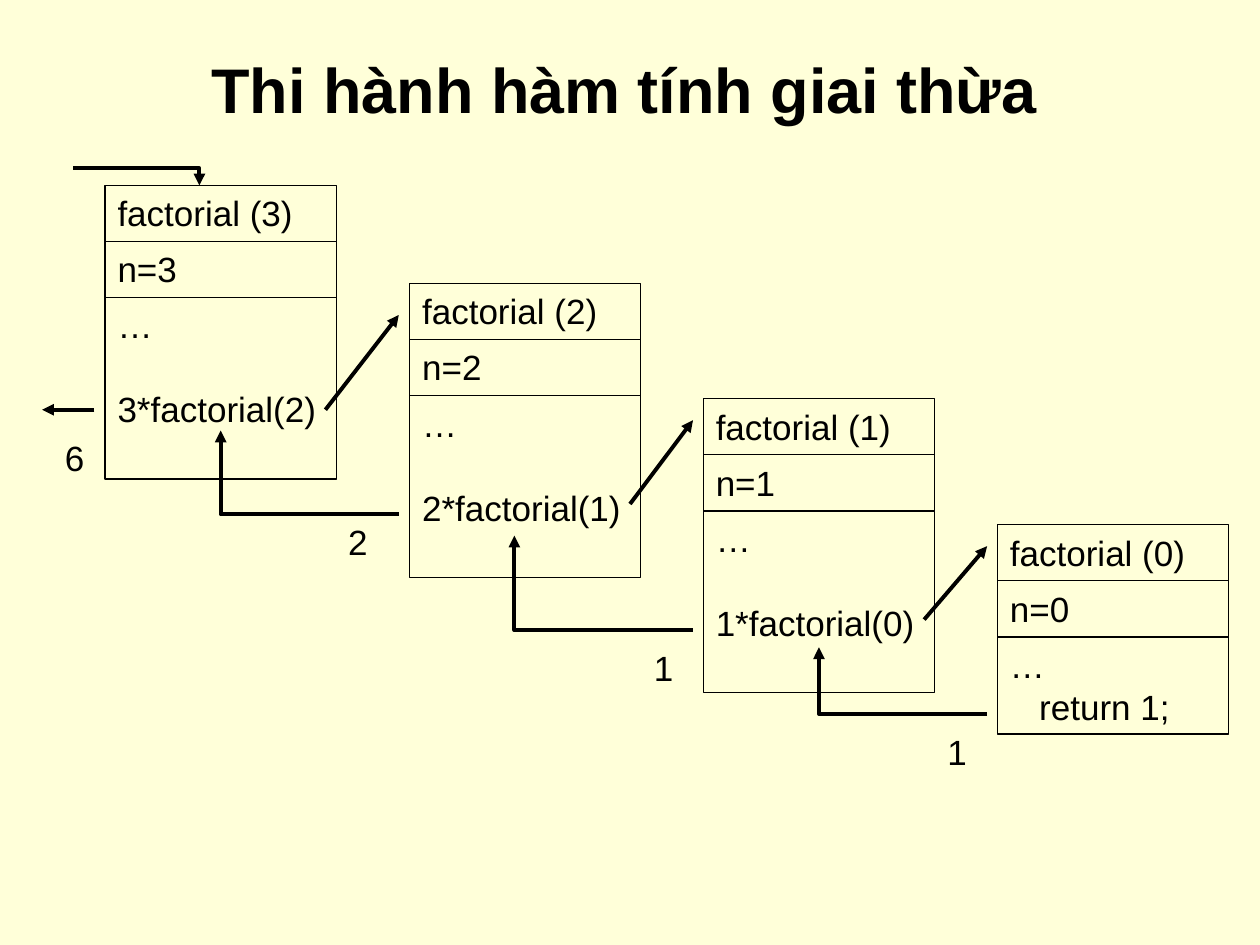
"""Build a slide tracing the recursive calls of the factorial function."""
from dataclasses import dataclass

from lxml.etree import SubElement
from pptx import Presentation
from pptx.dml.color import RGBColor
from pptx.enum.shapes import MSO_CONNECTOR as CONN, MSO_SHAPE as SHAPE
from pptx.enum.text import MSO_ANCHOR as ANCHOR, PP_ALIGN as ALIGN
from pptx.oxml.ns import qn
from pptx.util import Cm, Pt


@dataclass(frozen=True)
class Theme:
    font: str = "Arial"
    ink: RGBColor = RGBColor(0x00, 0x00, 0x00)
    paper: RGBColor = RGBColor(0xFF, 0xFF, 0xD9)
    title: Pt = Pt(36)
    body: Pt = Pt(20)
    border: Pt = Pt(0.75)
    arrow: Pt = Pt(2.25)


THEME = Theme()
FRAME_W, ROW_H = 4.66, 1.13
CALL_H, RETURN_H = 3.66, 1.96

FRAMES = [(3, 2.12, 3.74), (2, 8.26, 5.72), (1, 14.18, 8.04), (0, 20.11, 10.58)]

CALLS = [
    [(1.48, 3.39), (4.02, 3.39), (4.02, 3.74)],
    [(6.56, 8.26), (8.04, 6.35)],
    [(12.7, 10.16), (13.97, 8.47)],
    [(18.63, 12.49), (19.9, 11.01)],
]
RETURNS = [
    [(19.9, 14.39), (16.51, 14.39), (16.51, 13.05)],
    [(13.97, 12.7), (10.37, 12.7), (10.37, 10.8)],
    [(8.04, 10.37), (4.45, 10.37), (4.45, 8.68)],
    [(1.9, 8.26), (0.85, 8.26)],
]
RESULTS = [("1", 18.85, 14.61), ("1", 12.93, 12.91),
           ("2", 6.77, 10.37), ("6", 1.06, 8.68)]


def style(p, size, align=ALIGN.LEFT, bold=False):
    p.alignment = align
    f = p.font
    f.name, f.size, f.bold = THEME.font, size, bold
    f.color.rgb = THEME.ink


def write(tf, lines):
    tf.text = "\n".join(lines)
    for p in tf.paragraphs:
        style(p, THEME.body)


def add_title(s, text):
    sp = s.shapes.title
    sp.left, sp.top, sp.width, sp.height = Cm(2.33), Cm(0.2), Cm(20.52), Cm(3.18)
    sp.text_frame.text = text
    sp.text_frame.vertical_anchor = ANCHOR.MIDDLE
    style(sp.text_frame.paragraphs[0], THEME.title, ALIGN.CENTER, True)


def add_cell(group, left, top, height, lines):
    sp = group.shapes.add_shape(SHAPE.RECTANGLE, Cm(left), Cm(top), Cm(FRAME_W), Cm(height))
    sp.shadow.inherit = False
    sp.fill.background()
    sp.line.color.rgb, sp.line.width = THEME.ink, THEME.border
    tf = sp.text_frame
    tf.word_wrap, tf.vertical_anchor = True, ANCHOR.TOP
    write(tf, lines)
    return tf


def add_frame(s, n, left, top):
    group = s.shapes.add_group_shape()
    add_cell(group, left, top, ROW_H, [f"factorial ({n})"])
    add_cell(group, left, top + ROW_H, ROW_H, [f"n={n}"])
    step = f"{n}*factorial({n - 1})" if n else "return 1;"
    height = CALL_H if n else RETURN_H
    p = add_cell(group, left, top + 2 * ROW_H, height, ["…", step]).paragraphs[1]
    if n:
        p.space_before = Pt(24)
    else:
        p._p.get_or_add_pPr().set("marL", str(Cm(0.59)))


def add_arrow(s, points):
    start, *rest = [(Cm(x), Cm(y)) for x, y in points]
    if len(rest) == 1:
        sp = s.shapes.add_connector(CONN.STRAIGHT, *start, *rest[0])
    else:
        path = s.shapes.build_freeform(*start)
        path.add_line_segments(rest, close=False)
        sp = path.convert_to_shape()
        sp.fill.background()
    sp.line.color.rgb, sp.line.width = THEME.ink, THEME.arrow
    SubElement(sp.line._get_or_add_ln(), qn("a:tailEnd"), type="triangle")
    SubElement(sp._element.spPr, qn("a:effectLst"))


def add_result(s, text, left, top):
    sp = s.shapes.add_textbox(Cm(left), Cm(top), Cm(0.89), Cm(ROW_H))
    sp.text_frame.word_wrap = False
    write(sp.text_frame, [text])


def main():
    prs = Presentation()
    prs.slide_width, prs.slide_height = Cm(25.4), Cm(19.05)
    s = prs.slides.add_slide(prs.slide_layouts[5])
    s.background.fill.solid()
    s.background.fill.fore_color.rgb = THEME.paper
    add_title(s, "Thi hành hàm tính giai thừa")
    for frame in FRAMES:
        add_frame(s, *frame)
    for points in CALLS + RETURNS:
        add_arrow(s, points)
    for result in RESULTS:
        add_result(s, *result)
    prs.save("out.pptx")


if __name__ == "__main__":
    main()
